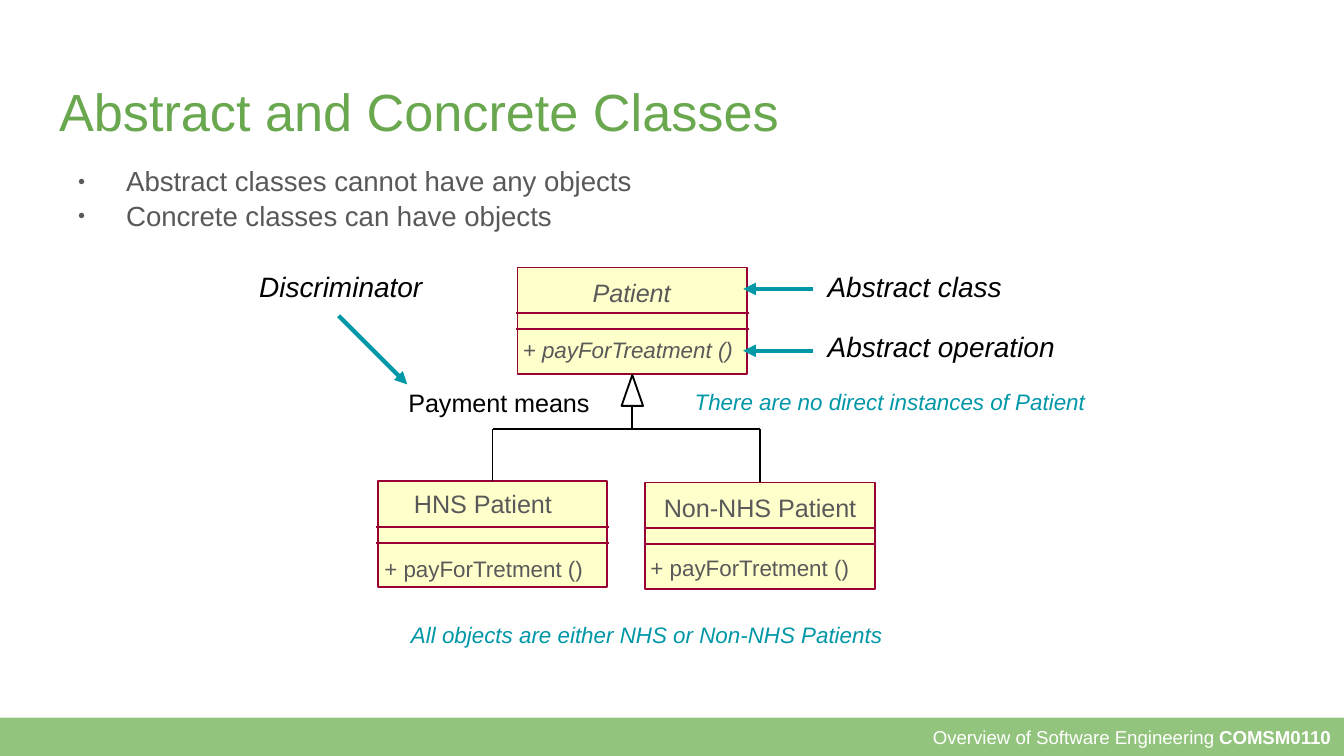
from lxml import etree
from pptx import Presentation
from pptx.dml.color import RGBColor
from pptx.enum.shapes import MSO_CONNECTOR, MSO_SHAPE
from pptx.enum.text import MSO_ANCHOR, PP_ALIGN
from pptx.oxml.ns import qn
from pptx.util import Pt

STRAIGHT = MSO_CONNECTOR.STRAIGHT
RECTANGLE = MSO_SHAPE.RECTANGLE
TRIANGLE = MSO_SHAPE.ISOSCELES_TRIANGLE
TOP, MIDDLE = MSO_ANCHOR.TOP, MSO_ANCHOR.MIDDLE
LEFT, RIGHT = PP_ALIGN.LEFT, PP_ALIGN.RIGHT

EMU_PER_PX = 9144
SLIDE_WIDTH = 1000
SLIDE_HEIGHT = SLIDE_WIDTH * 9 / 16
FONT = "Arial"
GREEN = RGBColor(0x6A, 0xA8, 0x4F)
BAND = RGBColor(0x93, 0xC4, 0x7D)
TEAL = RGBColor(0x00, 0x97, 0xA7)
GREY = RGBColor(0x59, 0x59, 0x59)
CREAM = RGBColor(0xFF, 0xFF, 0xCC)
MAROON = RGBColor(0x99, 0x00, 0x33)
BLACK = RGBColor(0, 0, 0)
WHITE = RGBColor(255, 255, 255)

TITLE = "Abstract and Concrete Classes"
BULLETS = ["Abstract classes cannot have any objects", "Concrete classes can have objects"]
FOOTER = [("Overview of Software Engineering ", False), ("COMSM0110", True)]
FOOTER_TOP = 534

CLASS_WIDTH, CLASS_HEIGHT = 171, 79
DIVIDERS = (34, 46)
CLASSES = [
    {"at": (385, 199), "italic": True,
     "name": ("Patient", (433, 202, 80, 30)),
     "operation": ("+ payForTreatment ()", (381, 246, 178, 28))},
    {"at": (281, 358), "italic": False,
     "name": ("HNS Patient", (300, 359, 125, 30)),
     "operation": ("+ payForTretment ()", (278, 409, 170, 28))},
    {"at": (480, 359), "italic": False,
     "name": ("Non-NHS Patient", (486, 362, 165, 30)),
     "operation": ("+ payForTretment ()", (476, 408, 170, 28))},
]
NOTES = [
    ("Discriminator", (183, 196, 160, 35), 15, BLACK, True),
    ("Abstract class", (606, 196, 187, 35), 15, BLACK, True),
    ("Abstract operation", (606, 240, 202, 35), 15, BLACK, True),
    ("Payment means", (294, 283, 156, 33), 13.5, BLACK, False),
    ("There are no direct instances of Patient", (507, 284, 395, 30), 12, TEAL, True),
    ("All objects are either NHS or Non-NHS Patients", (296, 457, 426, 30), 12, TEAL, True),
]
ARROWS = [(605, 215, 553, 215), (605, 261, 553, 261), (252, 235, 303, 286)]
BRANCH_Y = 319
HEAD_WIDTH, HEAD_HEIGHT = 16, 23


def px(*values):
    return [int(value * EMU_PER_PX) for value in values]


def style(para, size, color, italic=False):
    for span in para.runs:
        span.font.name = FONT
        span.font.size = Pt(size)
        span.font.color.rgb = color
        span.font.italic = italic


def set_margins(frame, side, end):
    frame.margin_left, frame.margin_right, frame.margin_top, frame.margin_bottom = px(side, side, end, end)


def add_text(page, text, area, size, color, italic=False, margins=(10, 5)):
    box = page.shapes.add_textbox(*px(*area))
    frame = box.text_frame
    frame.word_wrap = True
    set_margins(frame, *margins)
    frame.text = text
    for para in frame.paragraphs:
        style(para, size, color, italic)
    return box


def add_shape(page, kind, area, fill=None, line=None):
    shape = page.shapes.add_shape(kind, *px(*area))
    shape.shadow.inherit = False
    if fill is None:
        shape.fill.background()
    else:
        shape.fill.solid()
        shape.fill.fore_color.rgb = fill
    if line is None:
        shape.line.fill.background()
    else:
        shape.line.color.rgb = line
        shape.line.width = Pt(1)
    return shape


def add_line(page, ends, color, width=1, arrow=False):
    line = page.shapes.add_connector(STRAIGHT, *px(*ends))
    line.line.color.rgb = color
    line.line.width = Pt(width)
    if arrow:
        etree.SubElement(line.line._get_or_add_ln(), qn("a:tailEnd"), type="triangle")
    etree.SubElement(line._element.spPr, qn("a:effectLst"))
    return line


def add_bullet(para):
    properties = para._p.get_or_add_pPr()
    indent, hanging = px(50, -36)
    properties.set("marL", str(indent))
    properties.set("indent", str(hanging))
    color = etree.SubElement(properties, qn("a:buClr"))
    etree.SubElement(color, qn("a:srgbClr"), val=str(GREY))
    etree.SubElement(properties, qn("a:buSzPct"), val="45000")
    etree.SubElement(properties, qn("a:buFont"), typeface=FONT)
    etree.SubElement(properties, qn("a:buChar"), char="●")


def add_class(page, entry):
    left, top = entry["at"]
    box = add_shape(page, RECTANGLE, (left, top, CLASS_WIDTH, CLASS_HEIGHT), CREAM, MAROON)
    for offset in DIVIDERS:
        add_line(page, (left - 1, top + offset, left + CLASS_WIDTH + 1, top + offset), MAROON)
    for part, size in (("name", 13.5), ("operation", 12)):
        text, area = entry[part]
        add_text(page, text, area, size, GREY, entry["italic"], margins=(8, 4))
    return box


def add_inheritance(page, child_boxes):
    parent_left, parent_top = CLASSES[0]["at"]
    center = parent_left + CLASS_WIDTH / 2
    head_top = parent_top + CLASS_HEIGHT + 1
    add_shape(page, TRIANGLE, (center - HEAD_WIDTH / 2, head_top, HEAD_WIDTH, HEAD_HEIGHT), line=BLACK)
    add_line(page, (center, BRANCH_Y, center, head_top + HEAD_HEIGHT), BLACK)
    centers = [entry["at"][0] + CLASS_WIDTH / 2 for entry in CLASSES[1:]]
    add_line(page, (centers[0], BRANCH_Y, centers[1], BRANCH_Y), BLACK)
    for x, entry, box in zip(centers, CLASSES[1:], child_boxes):
        branch = add_line(page, (x, entry["at"][1], x, BRANCH_Y), BLACK)
        branch.begin_connect(box, 0)


def main():
    deck = Presentation()
    deck.slide_width, deck.slide_height = px(SLIDE_WIDTH, SLIDE_HEIGHT)
    page = deck.slides.add_slide(deck.slide_layouts[5])

    title = page.shapes.title
    title.left, title.top, title.width, title.height = px(34, 49, 932, 63)
    title.text_frame.text = TITLE
    title.text_frame.vertical_anchor = TOP
    set_margins(title.text_frame, 10, 10)
    title.text_frame.paragraphs[0].alignment = LEFT
    style(title.text_frame.paragraphs[0], 28, GREEN)

    body = add_text(page, "\n".join(BULLETS), (34, 111, 619, 72), 14.8, GREY, margins=(10, 10))
    for para in body.text_frame.paragraphs:
        para.line_spacing = 1.05
        add_bullet(para)

    footer_area = (0, FOOTER_TOP, SLIDE_WIDTH, SLIDE_HEIGHT - FOOTER_TOP)
    footer = add_shape(page, RECTANGLE, footer_area, BAND)
    set_margins(footer.text_frame, 10, 0)
    footer.text_frame.vertical_anchor = MIDDLE
    para = footer.text_frame.paragraphs[0]
    para.alignment = RIGHT
    for text, bold in FOOTER:
        span = para.add_run()
        span.text = text
        span.font.bold = bold
    style(para, 10, WHITE)

    boxes = [add_class(page, entry) for entry in CLASSES]
    add_inheritance(page, boxes[1:])
    for note in NOTES:
        add_text(page, *note)
    for ends in ARROWS:
        add_line(page, ends, TEAL, 2.25, arrow=True)
    deck.save("out.pptx")


if __name__ == "__main__":
    main()
